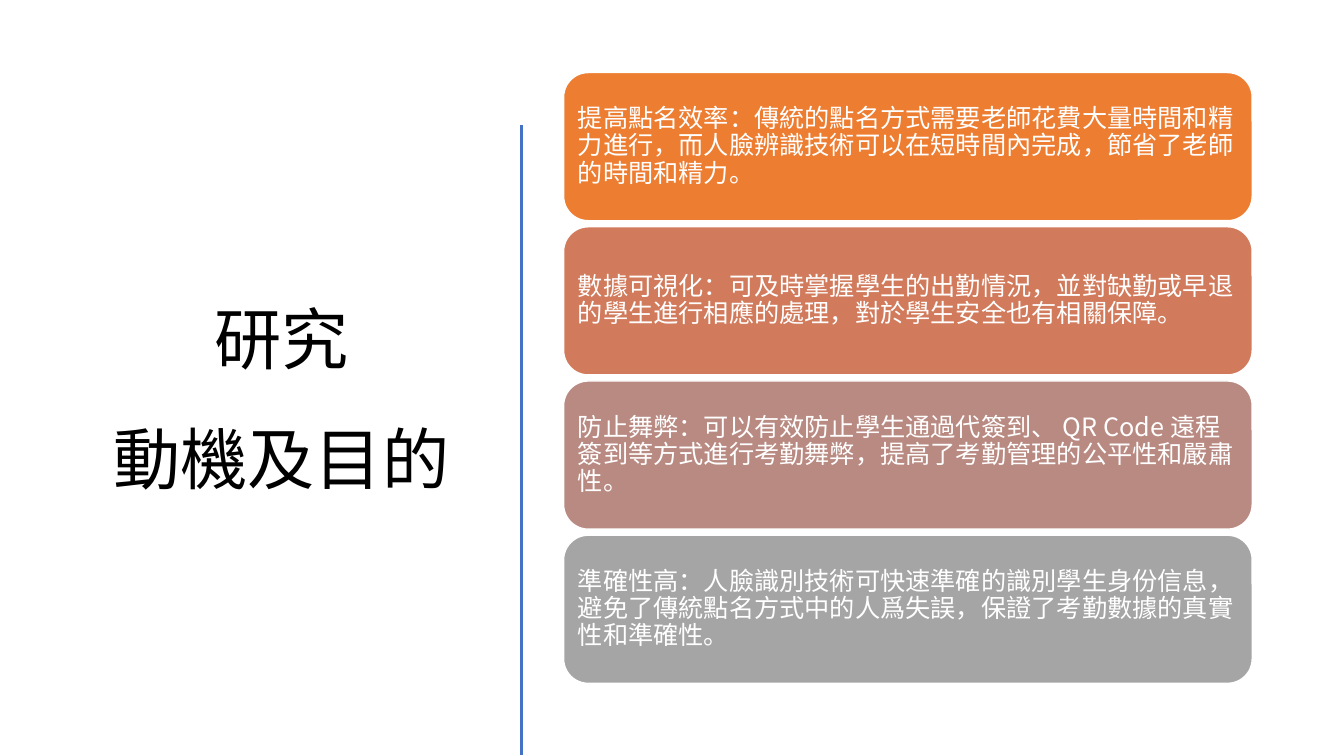
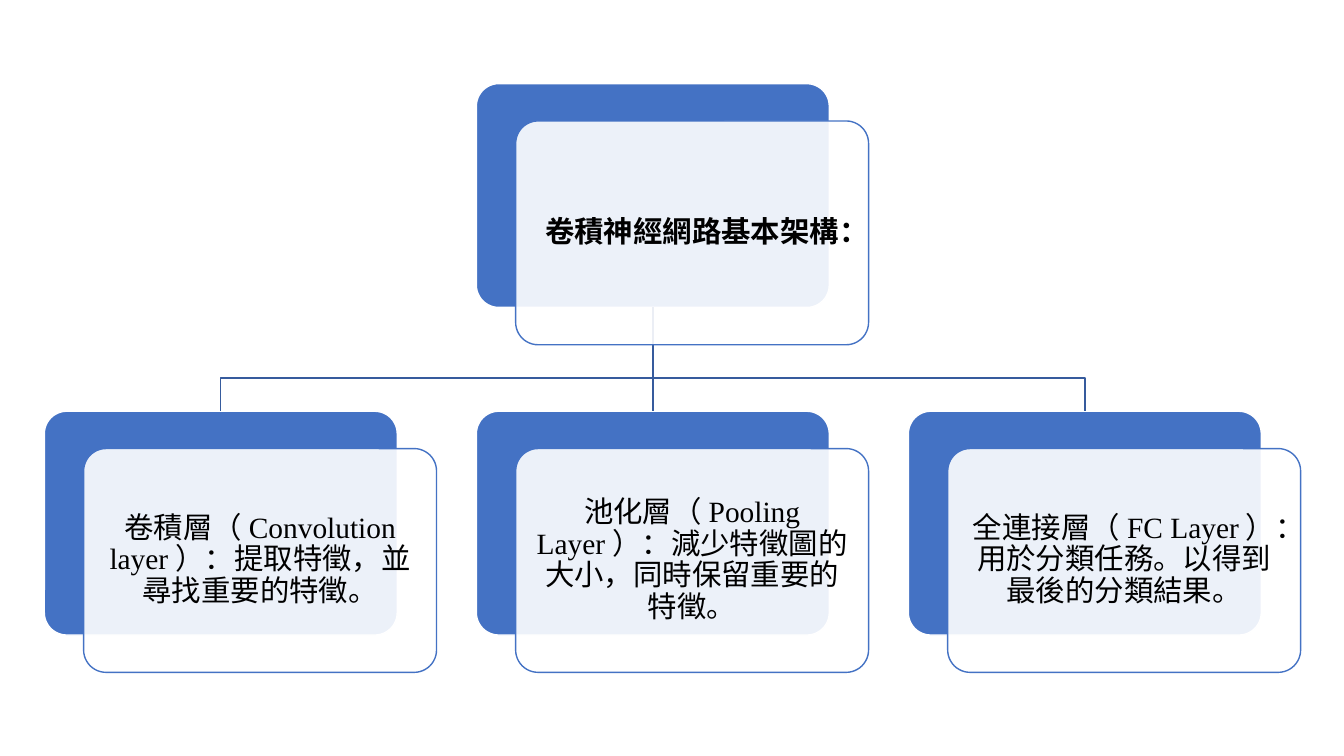
from dataclasses import dataclass

from lxml import etree
from pptx import Presentation
from pptx.dml.color import RGBColor
from pptx.enum.shapes import MSO_CONNECTOR, MSO_SHAPE
from pptx.enum.text import MSO_ANCHOR, MSO_AUTO_SIZE, PP_ALIGN
from pptx.oxml.ns import qn
from pptx.util import Inches, Pt

ROUNDED = MSO_SHAPE.ROUNDED_RECTANGLE
STRAIGHT = MSO_CONNECTOR.STRAIGHT
MIDDLE = MSO_ANCHOR.MIDDLE
NO_FIT = MSO_AUTO_SIZE.NONE
LEFT, CENTER = PP_ALIGN.LEFT, PP_ALIGN.CENTER
TITLE_ONLY, BLANK = 5, 6
TOP_SIDE, BOTTOM_SIDE = 0, 2


@dataclass(frozen=True)
class Theme:
    """Colours, fonts and sizes shared by the slides."""
    white: str = "FFFFFF"
    black: str = "000000"
    blue: str = "4472C4"
    branch: str = "365B9D"
    reasons: tuple = ("ED7D31", "D17B5C", "B98A82", "A5A5A5")
    sans: str = "Noto Sans CJK TC"
    serif: str = "Times New Roman"
    title_size: int = 48
    reason_size: int = 18
    card_size: int = 21
    rule_width: int = 2
    thin_width: int = 1


THEME = Theme()

TITLE = "研究\v動機及目的"
REASONS = (
    "提高點名效率：傳統的點名方式需要老師花費大量時間和精力進行，而人臉辨識技術可以在短時間內完成，節省了老師的時間和精力。",
    "數據可視化：可及時掌握學生的出勤情況，並對缺勤或早退的學生進行相應的處理，對於學生安全也有相關保障。",
    "防止舞弊：可以有效防止學生通過代簽到、QR Code遠程簽到等方式進行考勤舞弊，提高了考勤管理的公平性和嚴肅性。",
    "準確性高：人臉識別技術可快速準確的識別學生身份信息，避免了傳統點名方式中的人爲失誤，保證了考勤數據的真實性和準確性。",
)
NETWORK = "卷積神經網路基本架構："
LAYERS = (
    "卷積層（Convolution layer）：提取特徵，並尋找重要的特徵。",
    "池化層（Pooling Layer）：減少特徵圖的大小，同時保留重要的特徵。",
    "全連接層（FC Layer）：用於分類任務。以得到最後的分類結果。",
)


def color(value):
    """Turn a hex string into a colour."""
    return RGBColor.from_string(value)


def write(box, text, size, ink, font, align, spacing, inset=None, bold=False):
    """Write one formatted paragraph, centred vertically, into a box."""
    frame = box.text_frame
    frame.text = text
    frame.word_wrap = True
    frame.auto_size = NO_FIT
    frame.vertical_anchor = MIDDLE
    if inset is not None:
        frame.margin_left = frame.margin_right = Inches(inset)
        frame.margin_top = frame.margin_bottom = Inches(inset)
    para = frame.paragraphs[0]
    para.alignment = align
    para.line_spacing = spacing
    para.font.name = font
    para.font.size = Pt(size)
    para.font.bold = bold
    para.font.color.rgb = color(ink)
    latin = para.font._element.find(qn("a:latin"))
    east_asian = etree.Element(qn("a:ea"), typeface=THEME.sans)
    latin.addnext(east_asian)


def add_rounded(page, left, top, width, height, fill, line, corner=None):
    """Add a flat rounded rectangle."""
    box = page.shapes.add_shape(
        ROUNDED, Inches(left), Inches(top), Inches(width), Inches(height))
    box.shadow.inherit = False
    box.fill.solid()
    box.fill.fore_color.rgb = color(fill)
    box.line.color.rgb = color(line)
    box.line.width = Pt(THEME.thin_width)
    if corner is not None:
        box.adjustments[0] = corner
    return box


def add_line(page, start, end, ink, width):
    """Add a straight connector without shadow."""
    line = page.shapes.add_connector(
        STRAIGHT, *(Inches(value) for value in (*start, *end)))
    line.line.color.rgb = color(ink)
    line.line.width = Pt(width)
    etree.SubElement(line._element.spPr, qn("a:effectLst"))
    return line


def add_reasons(page, left, top, width, height, gap):
    """Stack the reason boxes evenly inside the given region."""
    count = len(REASONS)
    box_height = (height - gap * (count - 1)) / count
    for row, (text, fill) in enumerate(zip(REASONS, THEME.reasons)):
        box = add_rounded(page, left, top + row * (box_height + gap),
                          width, box_height, fill, THEME.white)
        write(box, text, THEME.reason_size, THEME.white, THEME.sans,
              LEFT, 0.9, 0.07)


def add_branch(page, start, end, bend):
    """Draw a bent line that turns at the given height."""
    points = (start, (start[0], bend), (end[0], bend), end)
    points = [(Inches(x), Inches(y)) for x, y in points]
    builder = page.shapes.build_freeform(*points[0])
    builder.add_line_segments(points[1:], close=False)
    branch = builder.convert_to_shape()
    branch.shadow.inherit = False
    branch.fill.background()
    branch.line.color.rgb = color(THEME.branch)
    branch.line.width = Pt(THEME.thin_width)


def add_veil(page, left, top, width, height, text, bold):
    """Add the translucent front card with its text."""
    veil = add_rounded(page, left, top, width, height,
                       THEME.white, THEME.blue, 0.1)
    tint = veil.fill._xPr.find(qn("a:solidFill"))[0]
    etree.SubElement(tint, qn("a:alpha"), val="90000")
    write(veil, text, THEME.card_size, THEME.black, THEME.serif,
          CENTER, 0.9, 0.09, bold)


def add_hierarchy(page, left, top, width, height):
    """Draw the root card over its layer cards inside the given region."""
    card_width, card_height = 3.5, 2.22
    shift_x, shift_y = 0.39, 0.37
    step = (width - card_width - shift_x) / (len(LAYERS) - 1)
    layer_top = top + height - card_height - shift_y
    root_left = left + step
    cards = [(root_left, top, NETWORK)]
    cards += [(left + column * step, layer_top, text)
              for column, text in enumerate(LAYERS)]
    backs = [add_rounded(page, x, y, card_width, card_height,
                         THEME.blue, THEME.white, 0.1) for x, y, _ in cards]
    start = (root_left + card_width / 2, top + card_height)
    for back, (x, y, _) in zip(backs[1:], cards[1:]):
        end = (x + card_width / 2, y)
        if abs(end[0] - start[0]) < 0.01:
            line = add_line(page, start, end, THEME.branch, THEME.thin_width)
            line.begin_connect(backs[0], BOTTOM_SIDE)
            line.end_connect(back, TOP_SIDE)
        else:
            add_branch(page, start, end, layer_top - 0.33)
    for x, y, text in cards:
        add_veil(page, x + shift_x, y + shift_y, card_width, card_height,
                 text, text == NETWORK)


def build_motivation(deck):
    """Build the slide of research motives."""
    page = deck.slides.add_slide(deck.slide_layouts[TITLE_ONLY])
    title = page.shapes.title
    title.left, title.top = Inches(0.37), Inches(2.33)
    title.width, title.height = Inches(4.84), Inches(2.83)
    write(title, TITLE, THEME.title_size, THEME.black, THEME.sans, CENTER, 1.5)
    add_line(page, (5.17, 1.24), (5.17, 7.49), THEME.blue, THEME.rule_width)
    add_reasons(page, 5.59, 0.72, 6.83, 6.06, 0.06)


def build_network(deck):
    """Build the slide of the network structure."""
    page = deck.slides.add_slide(deck.slide_layouts[BLANK])
    add_hierarchy(page, 0.44, 0.83, 12.46, 5.84)


def main():
    """Build and save the deck."""
    deck = Presentation()
    deck.slide_width, deck.slide_height = Inches(13.33), Inches(7.5)
    build_motivation(deck)
    build_network(deck)
    deck.save("out.pptx")


if __name__ == "__main__":
    main()
